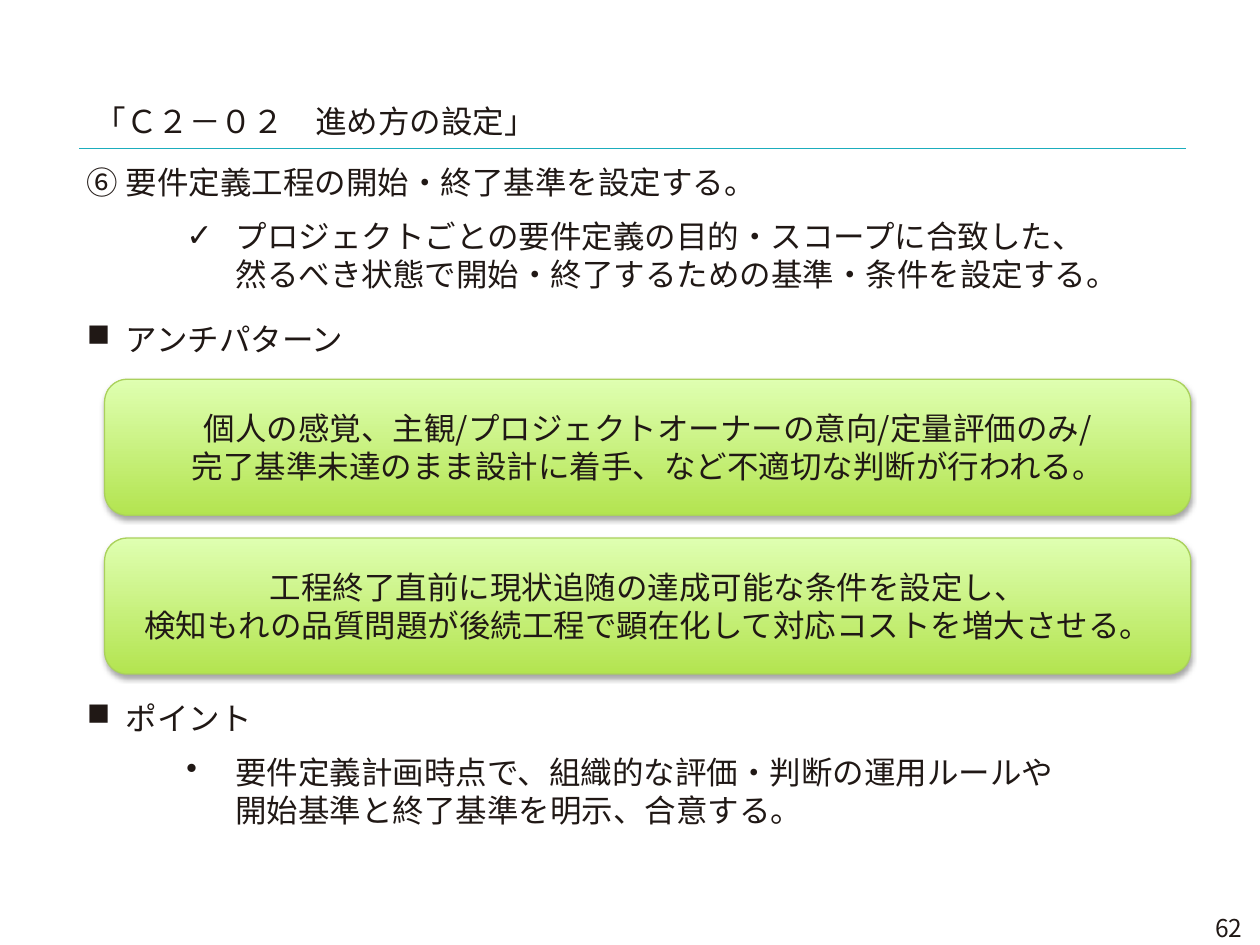
import pptx
import pptx.util
import pptx.dml.color
import pptx.enum.shapes
import pptx.enum.text
import pptx.oxml
import pptx.oxml.ns
from lxml import etree

Inches, Pt = pptx.util.Inches, pptx.util.Pt
ALIGN = pptx.enum.text.PP_ALIGN
ANCHOR = pptx.enum.text.MSO_ANCHOR
FONT, INK = "Noto Sans CJK JP", "201815"


def color(code):
    return pptx.dml.color.RGBColor.from_string(code)


def add_text(p, text, size=18, align=ALIGN.LEFT, before=0, bullet=None, left=0, hang=0):
    """Write text into a paragraph, with its bullet, indent and spacing."""
    pPr = p._p.get_or_add_pPr()
    pPr.set("marL", str(Inches(left)))
    pPr.set("indent", str(-Inches(hang)))
    if bullet:
        etree.SubElement(pPr, pptx.oxml.ns.qn("a:buChar"), char=bullet)
    else:
        etree.SubElement(pPr, pptx.oxml.ns.qn("a:buNone"))
    p.alignment, p.space_before = align, Pt(before)
    for i, line in enumerate(text.split("\n")):
        if i:
            p.add_line_break()
        r = p.add_run()
        r.text = line
        r.font.size, r.font.name = Pt(size), FONT
        r.font.color.rgb = color(INK)
        etree.SubElement(r._r.get_or_add_rPr(), pptx.oxml.ns.qn("a:ea"), typeface=FONT)


prs = pptx.Presentation()
prs.slide_width, prs.slide_height = Inches(10), Inches(7.5)
s = prs.slides.add_slide(prs.slide_layouts[1])
title, body = s.shapes.title, s.placeholders[1]

# Rule under the title
rule = s.shapes.add_connector(pptx.enum.shapes.MSO_CONNECTOR.STRAIGHT,
                              Inches(0.63), Inches(1.18), Inches(9.41), Inches(1.18))
rule.line.color.rgb, rule.line.width = color("1BADBD"), Pt(0.25)
etree.SubElement(rule._element.spPr, pptx.oxml.ns.qn("a:effectLst"))

# Text areas: title, step, anti-patterns and points, page number
points = s.shapes.add_textbox(0, 0, 0, 0)
number = s.shapes.add_textbox(0, 0, 0, 0)
areas = [(title, 0.65, 0.76, 6.38, 0.39), (body, 0.59, 1.24, 8.98, 1.41),
         (points, 0.59, 2.49, 8.98, 4.17), (number, 8.57, 7.2, 1.39, 0.31)]
for sp, *box in areas:
    sp.left, sp.top, sp.width, sp.height = map(Inches, box)
    tf = sp.text_frame
    tf.word_wrap = True
    tf.auto_size = pptx.enum.text.MSO_AUTO_SIZE.NONE
    tf.vertical_anchor = ANCHOR.TOP

add_text(title.text_frame.paragraphs[0], "「Ｃ２－０２　進め方の設定」")
add_text(number.text_frame.paragraphs[0], "62", size=14, align=ALIGN.RIGHT)

tf = body.text_frame
add_text(tf.paragraphs[0], "⑥ 要件定義工程の開始・終了基準を設定する。")
add_text(tf.add_paragraph(),
         "プロジェクトごとの要件定義の目的・スコープに合致した、\n"
         "然るべき状態で開始・終了するための基準・条件を設定する。",
         before=9.5, bullet="✓", left=1.18, hang=0.39)

tf = points.text_frame
add_text(tf.paragraphs[0], "アンチパターン", bullet="■", left=0.31, hang=0.31)
add_text(tf.add_paragraph(), "ポイント", before=195, bullet="■", left=0.31, hang=0.31)
add_text(tf.add_paragraph(),
         "要件定義計画時点で、組織的な評価・判断の運用ルールや\n"
         "開始基準と終了基準を明示、合意する。",
         before=9.5, bullet="•", left=1.18, hang=0.39)

# Anti-pattern panels
SHADOW = (f'<a:effectLst {pptx.oxml.ns.nsdecls("a")}>'
          f'<a:outerShdw blurRad="{Pt(3.1)}" dist="{Pt(1.8)}" dir="5400000" rotWithShape="0">'
          '<a:srgbClr val="000000"><a:alpha val="35000"/></a:srgbClr>'
          '</a:outerShdw></a:effectLst>')
panels = [
    ("個人の感覚、主観/プロジェクトオーナーの意向/定量評価のみ/",
     "完了基準未達のまま設計に着手、など不適切な判断が行われる。"),
    ("工程終了直前に現状追随の達成可能な条件を設定し、",
     "検知もれの品質問題が後続工程で顕在化して対応コストを増大させる。"),
]
for row, lines in enumerate(panels):
    sp = s.shapes.add_shape(pptx.enum.shapes.MSO_SHAPE.ROUNDED_RECTANGLE, Inches(0.83),
                            Inches(3.01 + 1.26 * row), Inches(8.62), Inches(1.08))
    sp.fill.gradient()
    sp.fill.gradient_angle = 90
    for stop, code in zip(sp.fill.gradient_stops, ("B3E450", "DFFFB1")):
        stop.color.rgb = color(code)
    sp.line.color.rgb, sp.line.width = color("AAD15C"), Pt(0.75)
    sp._element.spPr.append(pptx.oxml.parse_xml(SHADOW))
    tf = sp.text_frame
    tf.word_wrap = True
    tf.vertical_anchor = ANCHOR.MIDDLE
    for i, line in enumerate(lines):
        p = tf.add_paragraph() if i else tf.paragraphs[0]
        add_text(p, line, align=ALIGN.CENTER)

prs.save("out.pptx")
